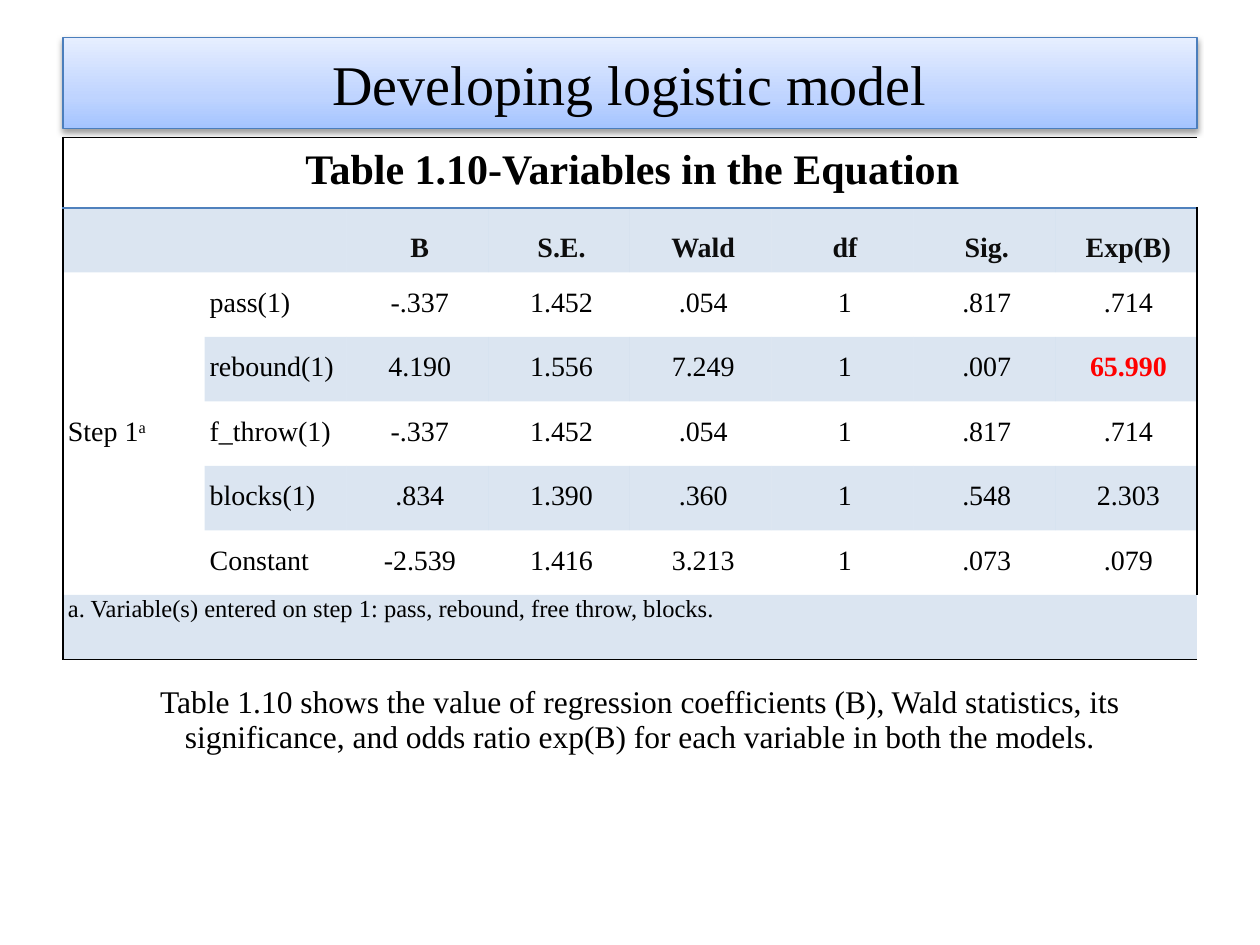
from lxml import etree
from pptx import Presentation
from pptx.dml.color import RGBColor
from pptx.enum.text import MSO_ANCHOR, PP_ALIGN
from pptx.oxml import parse_xml
from pptx.oxml.ns import qn
from pptx.util import Cm, Pt

CENTER, LEFT = PP_ALIGN.CENTER, PP_ALIGN.LEFT
TOP, MIDDLE = MSO_ANCHOR.TOP, MSO_ANCHOR.MIDDLE

NAMESPACE = 'xmlns:a="http://schemas.openxmlformats.org/drawingml/2006/main"'
PLAIN_TABLE_STYLE = "{2D5ABB26-0587-4C30-8999-92F81FD0307C}"
FONT = "Times New Roman"
BLACK, DARK, RED, BLUE = "000000", "0D0D0D", "FF0000", "4F81BD"

LEFT_EDGE, WIDTH = Cm(1.27), Cm(22.86)
TITLE_STOPS = [(0, "A4C4FF"), (35, "BFD4FF"), (100, "E6EEFF")]

CAPTION = "Table 1.10-Variables in the Equation"
HEADINGS = ["B", "S.E.", "Wald", "df", "Sig.", "Exp(B)"]
VARIABLES = [
    ["pass(1)", "-.337", "1.452", ".054", "1", ".817", ".714"],
    ["rebound(1)", "4.190", "1.556", "7.249", "1", ".007", "65.990"],
    ["f_throw(1)", "-.337", "1.452", ".054", "1", ".817", ".714"],
    ["blocks(1)", ".834", "1.390", ".360", "1", ".548", "2.303"],
    ["Constant", "-2.539", "1.416", "3.213", "1", ".073", ".079"],
]
FOOTNOTE = "a. Variable(s) entered on step 1: pass, rebound, free throw, blocks."
SUMMARY = ("Table 1.10 shows the value of regression coefficients (B), Wald statistics, its "
           "significance, and odds ratio exp(B) for each variable in both the models.")


def color(hex_string):
    return RGBColor.from_string(hex_string)


def style_paragraph(para, size, hex_string=BLACK, bold=False, align=CENTER):
    para.alignment = align
    para.font.name = FONT
    para.font.size = Pt(size)
    para.font.bold = bold
    para.font.color.rgb = color(hex_string)


def add_title(page):
    title = page.shapes.title
    title.left, title.top, title.width, title.height = LEFT_EDGE, Cm(0.76), WIDTH, Cm(1.83)
    title.text_frame.text = "Developing logistic model"
    title.text_frame.vertical_anchor = MIDDLE
    style_paragraph(title.text_frame.paragraphs[0], 32)
    stops = "".join(f'<a:gs pos="{place * 1000}"><a:srgbClr val="{shade}"/></a:gs>'
                    for place, shade in TITLE_STOPS)
    properties = title._element.spPr
    properties.append(parse_xml(
        f'<a:gradFill {NAMESPACE} rotWithShape="1"><a:gsLst>{stops}</a:gsLst>'
        '<a:lin ang="16200000" scaled="0"/></a:gradFill>'))
    title.line.color.rgb = color("4B7EBC")
    title.line.width = Pt(0.75)
    properties.append(parse_xml(
        f'<a:effectLst {NAMESPACE}><a:outerShdw blurRad="40000" dist="20000" dir="5400000" '
        'rotWithShape="0"><a:srgbClr val="000000"><a:alpha val="38000"/></a:srgbClr>'
        '</a:outerShdw></a:effectLst>'))


def add_plain_table(page, rows, columns, left, top, width, height):
    """Add a table without banding, header style or theme borders."""
    table = page.shapes.add_table(rows, columns, left, top, width, height).table
    table.first_row = table.horz_banding = False
    table._tbl.tblPr.find(qn("a:tableStyleId")).text = PLAIN_TABLE_STYLE
    return table


def shade_cell(cell, shaded):
    if not shaded:
        cell.fill.background()
        return
    cell.fill.solid()
    cell.fill.fore_color.rgb = color(BLUE)
    tint = cell._tc.tcPr.find(".//" + qn("a:srgbClr"))
    etree.SubElement(tint, qn("a:alpha")).set("val", "20000")


def set_borders(cell, borders):
    """Draw 1 pt borders, given as (side, colour) in the order L, R, T, B."""
    for place, (side, hex_string) in enumerate(borders):
        cell._tc.get_or_add_tcPr().insert(place, parse_xml(
            f'<a:ln{side} {NAMESPACE} w="12700"><a:solidFill><a:srgbClr val="{hex_string}"/>'
            f'</a:solidFill></a:ln{side}>'))


def write_cell(cell, text, size=16, top_margin=0, anchor=MIDDLE, **style):
    cell.margin_left = cell.margin_right = cell.margin_bottom = 0
    cell.margin_top = Pt(top_margin)
    cell.vertical_anchor = anchor
    para = cell.text_frame.paragraphs[0]
    para._p.get_or_add_pPr().set("marL", str(Cm(0.1)))
    para.line_spacing = Pt(16)
    para.add_run().text = text
    style_paragraph(para, size, **style)
    return para


def format_grid(table):
    last_row, last_column = len(table.rows) - 1, len(table.columns) - 1
    for row in range(last_row + 1):
        for column in range(last_column + 1):
            cell = table.cell(row, column)
            beside_step = column == 0 and 2 <= row < last_row
            shade_cell(cell, row % 2 == 1 and not beside_step)
            rules = [("L", BLACK, column == 0), ("R", BLACK, column == last_column),
                     ("T", BLACK, row == 0), ("B", BLUE, row == 0),
                     ("B", BLACK, row == last_row)]
            set_borders(cell, [(side, shade) for side, shade, wanted in rules if wanted])


def add_equation_table(page):
    table = add_plain_table(page, 8, 8, LEFT_EDGE, Cm(2.77), WIDTH, Cm(10.52))
    for row in table.rows:
        row.height = Cm(1.3)
    table.rows[0].height = Cm(1.42)
    format_grid(table)
    for first, last in [((0, 0), (0, 7)), ((1, 0), (1, 1)), ((2, 0), (6, 0)), ((7, 0), (7, 7))]:
        table.cell(*first).merge(table.cell(*last))

    write_cell(table.cell(0, 0), CAPTION, 24, top_margin=16, anchor=TOP, bold=True)
    for column, heading in enumerate(HEADINGS, start=2):
        write_cell(table.cell(1, column), heading, top_margin=16, anchor=TOP,
                   hex_string=DARK, bold=True)
    step = write_cell(table.cell(2, 0), "Step 1", align=LEFT)
    mark = step.add_run()
    mark.text = "a"
    mark._r.get_or_add_rPr().set("baseline", "30000")
    for row, values in enumerate(VARIABLES, start=2):
        for column, value in enumerate(values, start=1):
            key_result = value == "65.990"
            write_cell(table.cell(row, column), value, bold=key_result,
                       hex_string=RED if key_result else BLACK,
                       align=LEFT if column == 1 else CENTER)
    write_cell(table.cell(7, 0), FOOTNOTE, 14, anchor=TOP, align=LEFT)


def add_summary(page):
    table = add_plain_table(page, 1, 1, Cm(1.4), Cm(13.69), Cm(23.01), Cm(1.78))
    cell = table.cell(0, 0)
    cell.text = SUMMARY
    shade_cell(cell, False)
    style_paragraph(cell.text_frame.paragraphs[0], 18)


def main():
    deck = Presentation()
    deck.slide_width, deck.slide_height = Cm(25.4), Cm(19.05)
    page = deck.slides.add_slide(deck.slide_layouts[5])
    add_title(page)
    add_equation_table(page)
    add_summary(page)
    deck.save("out.pptx")


if __name__ == "__main__":
    main()
